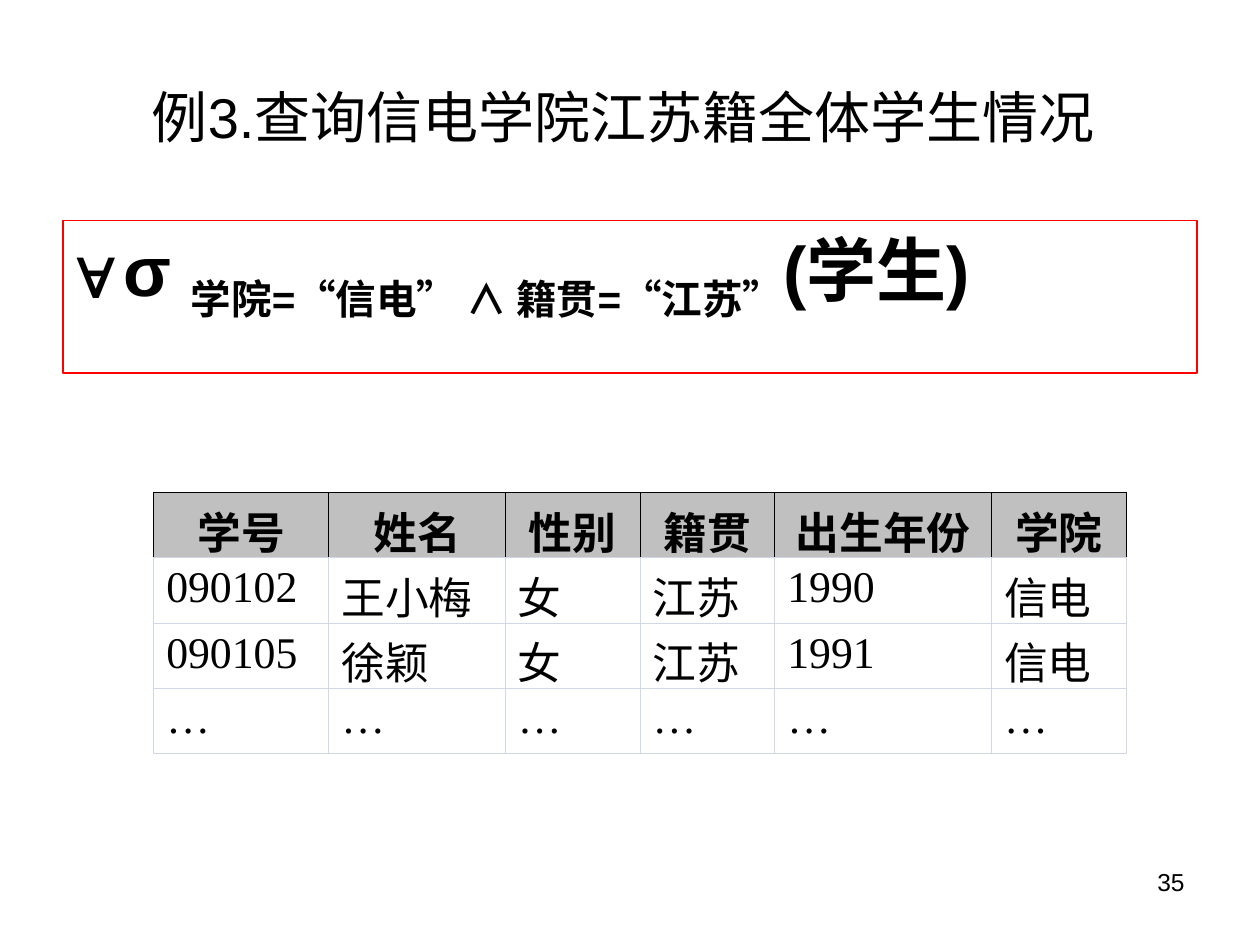
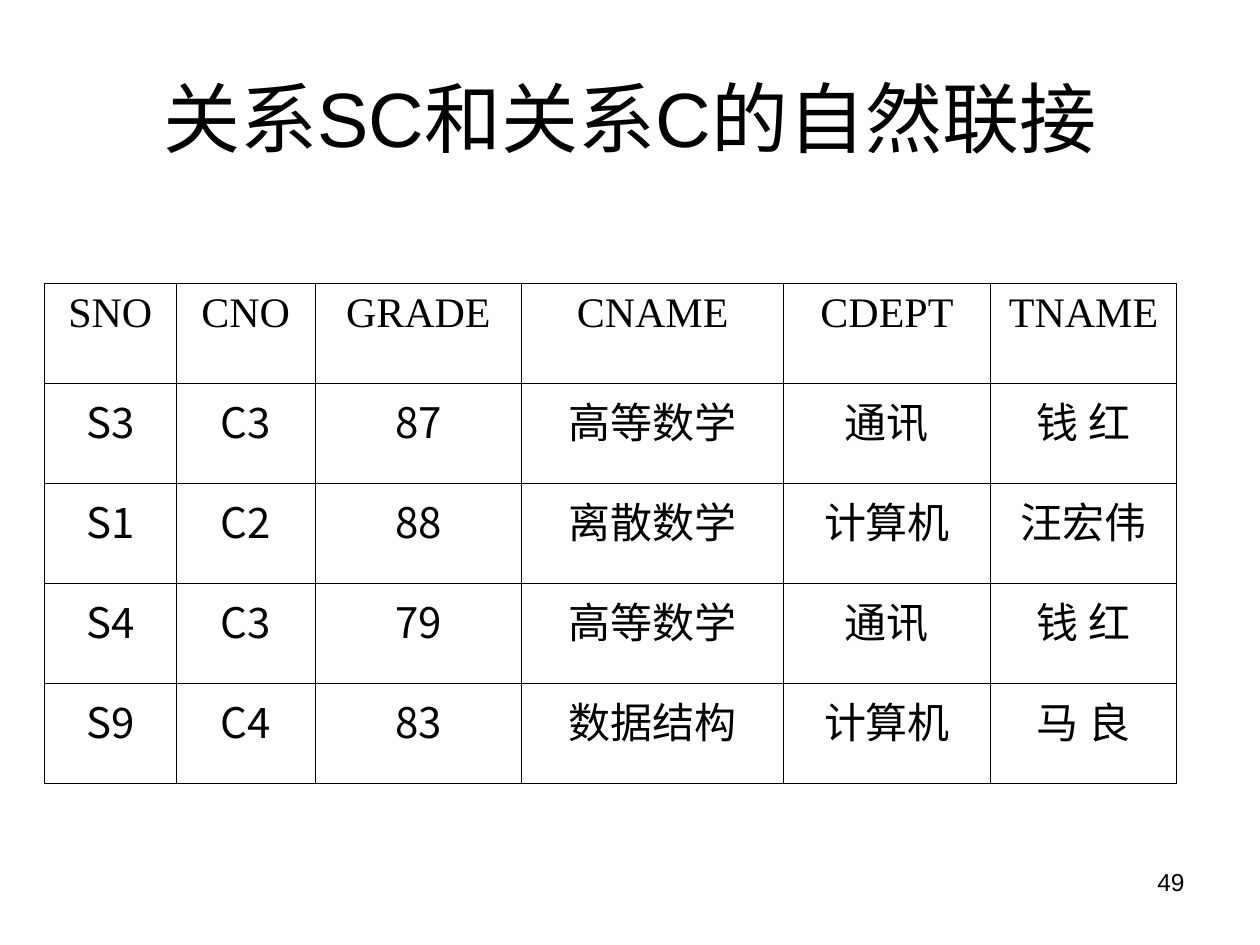
from lxml.etree import SubElement
from pptx import Presentation
from pptx.dml.color import RGBColor
from pptx.enum.text import MSO_ANCHOR, MSO_AUTO_SIZE, PP_ALIGN
from pptx.oxml.ns import qn
from pptx.util import Inches, Pt

TITLE_AND_BODY, TITLE_ONLY = 1, 5
BLACK, WHITE, RED = "000000", "FFFFFF", "FF0000"
HEADER_GRAY, GRID_BLUE = "C0C0C0", "D0D7E5"
SANS, SERIF, CHINESE = "Arial", "Times New Roman", "Noto Sans CJK SC"


def color(hex_string):
    return RGBColor.from_string(hex_string)


def place(shape, left, top, width, height):
    shape.left, shape.top = Inches(left), Inches(top)
    shape.width, shape.height = Inches(width), Inches(height)


def format_run(run, size, font=SANS, bold=False):
    run.font.size = Pt(size)
    run.font.bold = bold
    run.font.name = font
    run.font.color.rgb = color(BLACK)
    SubElement(run._r.get_or_add_rPr(), qn("a:ea"), typeface=CHINESE)


def set_borders(cell, **sides):
    """Draw cell borders; each side (L, R, T, B) is a (colour, points) pair."""
    properties = cell._tc.get_or_add_tcPr()
    for side in "LRTB":
        line_color, points = sides[side]
        line = SubElement(properties, qn(f"a:ln{side}"), w=str(Pt(points)))
        fill = SubElement(line, qn("a:solidFill"))
        SubElement(fill, qn("a:srgbClr"), val=line_color)


class Deck:
    def __init__(self):
        self.presentation = Presentation()
        self.presentation.slide_width = Inches(10)
        self.presentation.slide_height = Inches(7.5)
        self.slide = None

    def start_slide(self, layout, title, title_size, number):
        layouts = self.presentation.slide_layouts
        self.slide = self.presentation.slides.add_slide(layouts[layout])
        self.add_title(title, title_size)
        self.add_number(number)

    def add_title(self, text, size):
        title = self.slide.shapes.title
        place(title, 0.5, 0.3, 9, 1.25)
        frame = title.text_frame
        frame.text = text
        frame.auto_size = MSO_AUTO_SIZE.NONE
        frame.vertical_anchor = MSO_ANCHOR.MIDDLE
        frame.paragraphs[0].alignment = PP_ALIGN.CENTER
        format_run(frame.paragraphs[0].runs[0], size)

    def add_number(self, number):
        box = self.slide.shapes.add_textbox(
            Inches(7.17), Inches(6.83), Inches(2.33), Inches(0.52))
        box.text_frame.word_wrap = True
        paragraph = box.text_frame.paragraphs[0]
        paragraph.text = str(number)
        paragraph.alignment = PP_ALIGN.RIGHT
        format_run(paragraph.runs[0], 14)

    def add_formula(self, bullet, parts):
        """Fill the body with one bulleted line of (text, baseline) parts."""
        body = self.slide.placeholders[1]
        place(body, 0.5, 1.75, 9, 1.21)
        body.line.color.rgb = color(RED)
        body.line.width = Pt(0.75)
        body.text_frame.auto_size = MSO_AUTO_SIZE.NONE
        paragraph = body.text_frame.paragraphs[0]
        properties = paragraph._p.get_or_add_pPr()
        properties.set("marL", str(Inches(0.38)))
        properties.set("indent", str(-Inches(0.38)))
        bullet_color = SubElement(properties, qn("a:buClr"))
        SubElement(bullet_color, qn("a:srgbClr"), val=BLACK)
        SubElement(properties, qn("a:buChar"), char=bullet)
        paragraph.space_before = Pt(0)
        for text, baseline in parts:
            run = paragraph.add_run()
            run.text = text
            format_run(run, 40, bold=True)
            if baseline:
                run._r.get_or_add_rPr().set("baseline", str(baseline * 1000))

    def add_table(self, rows, left, top, widths, height, style_cell):
        """Add a table; style_cell(cell, row, column) formats every cell."""
        table = self.slide.shapes.add_table(
            len(rows), len(widths), Inches(left), Inches(top),
            Inches(sum(widths)), Inches(height)).table
        table.first_row = table.horz_banding = False
        for column, width in zip(table.columns, widths):
            column.width = Inches(width)
        for r, row in enumerate(rows):
            table.rows[r].height = Inches(height / len(rows))
            for c, text in enumerate(row):
                cell = table.cell(r, c)
                cell.text_frame.text = text
                style_cell(cell, r, c)


def style_student_cell(cell, row, column):
    header = row == 0
    grid = (GRID_BLUE, 0.45)
    edge = (BLACK, 0.45) if header else grid
    set_borders(cell, L=edge, R=edge, T=edge, B=grid)
    cell.fill.solid()
    cell.fill.fore_color.rgb = color(HEADER_GRAY if header else WHITE)
    paragraph = cell.text_frame.paragraphs[0]
    if header:
        cell.vertical_anchor = MSO_ANCHOR.MIDDLE
        paragraph.alignment = PP_ALIGN.CENTER
    format_run(paragraph.runs[0], 25, SERIF, bold=header)


def style_join_cell(cell, row, column):
    last_row, last_column = len(JOIN_ROWS) - 1, len(JOIN_ROWS[0]) - 1
    thin, heavy, side = (BLACK, 0.45), (BLACK, 0.96), (BLACK, 0.34)
    set_borders(cell,
                L=side if column == 0 else thin,
                R=side if column == last_column else thin,
                T=heavy if row in (0, 1) else thin,
                B=heavy if row in (0, last_row) else thin)
    cell.fill.background()
    paragraph = cell.text_frame.paragraphs[0]
    paragraph.alignment = PP_ALIGN.CENTER
    serif = row == 0 or column in (3, 4)
    format_run(paragraph.runs[0], 24, SERIF if serif else CHINESE)


STUDENT_ROWS = [
    ["学号", "姓名", "性别", "籍贯", "出生年份", "学院"],
    ["090102", "王小梅", "女", "江苏", "1990", "信电"],
    ["090105", "徐颖", "女", "江苏", "1991", "信电"],
    ["…"] * 6,
]
JOIN_ROWS = [
    ["SNO", "CNO", "GRADE", "CNAME", "CDEPT", "TNAME"],
    ["S3", "C3", "87", "高等数学", "通讯", "钱 红"],
    ["S1", "C2", "88", "离散数学", "计算机", "汪宏伟"],
    ["S4", "C3", "79", "高等数学", "通讯", "钱 红"],
    ["S9", "C4", "83", "数据结构", "计算机", "马 良"],
]


def main():
    deck = Deck()

    deck.start_slide(TITLE_AND_BODY, "例3.查询信电学院江苏籍全体学生情况 ", 32, 35)
    deck.add_formula("∀", [("σ ", 0),
                           ("学院=“信电” ∧ 籍贯=“江苏”", -25),
                           ("(学生)", 0)])
    deck.add_table(STUDENT_ROWS, 1.22, 3.91,
                   [1.39, 1.4, 1.07, 1.07, 1.72, 1.07], 2.07,
                   style_student_cell)

    deck.start_slide(TITLE_ONLY, "关系SC和关系C的自然联接", 44, 49)
    deck.add_table(JOIN_ROWS, 0.35, 2.25,
                   [1.05, 1.1, 1.64, 2.08, 1.64, 1.48], 3.97,
                   style_join_cell)

    deck.presentation.save("out.pptx")


if __name__ == "__main__":
    main()
